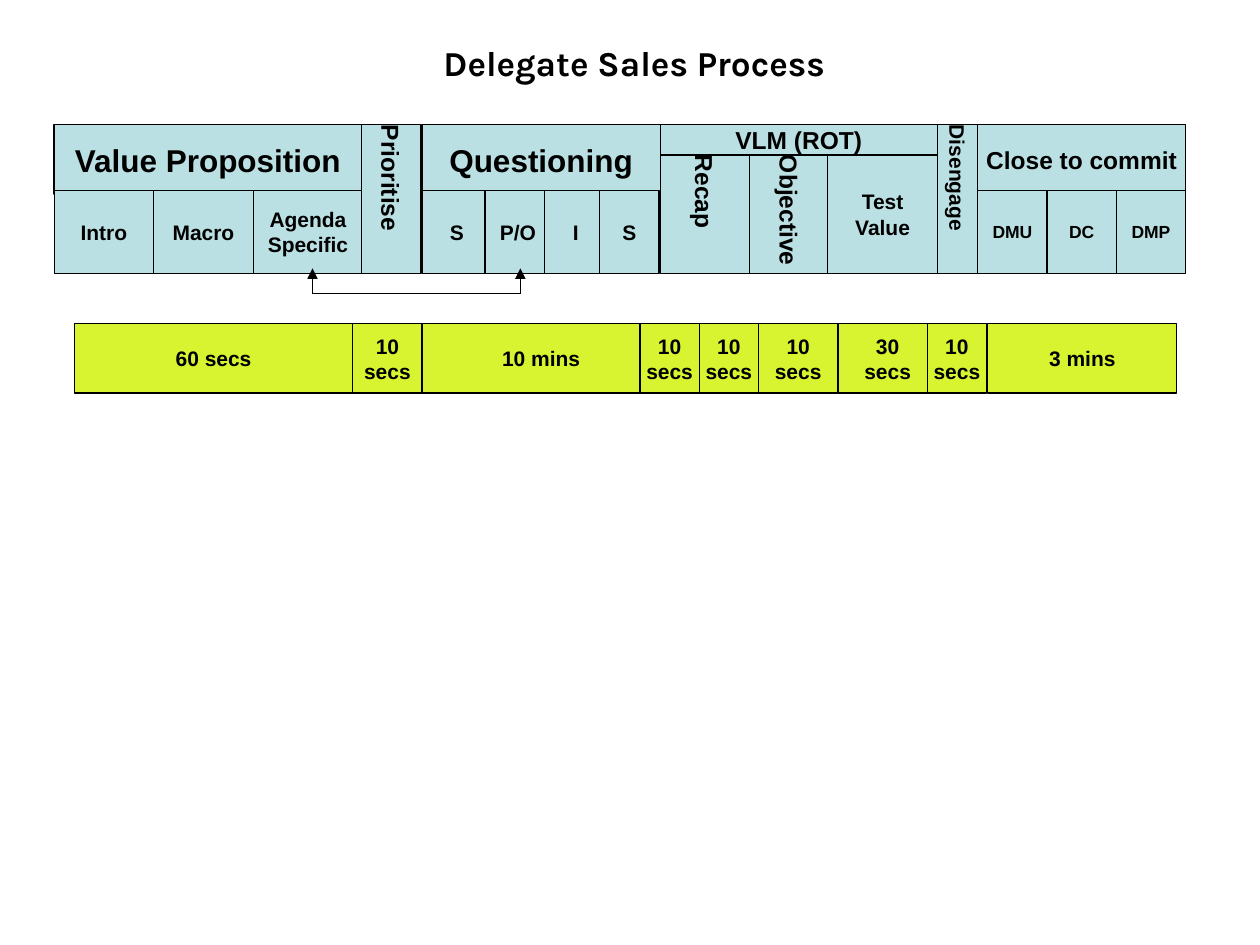
import pptx
import pptx.util
import pptx.dml.color
import pptx.enum.shapes
import pptx.enum.text
import pptx.oxml
from pptx.util import Inches, Pt

BLACK = pptx.dml.color.RGBColor(0x00, 0x00, 0x00)
BLUE = pptx.dml.color.RGBColor(0xBB, 0xE0, 0xE3)
LIME = pptx.dml.color.RGBColor(0xD8, 0xF4, 0x30)
CENTER = pptx.enum.text.PP_ALIGN.CENTER

# Content: text, left, width, size
TITLE = "Delegate Sales Process"
STAGES = [
    ("Value Proposition", 0.43, 2.44, 18),
    ("Questioning", 3.35, 1.89, 18),
    ("Close to commit", 7.76, 1.65, 14),
]
STEPS = [
    ("Intro", 0.43, 0.79, 12),
    ("Macro", 1.22, 0.79, 12),
    ("Agenda Specific", 2.01, 0.87, 12),
    ("S", 3.35, 0.55, 12),
    ("P/O", 3.85, 0.52, 12),
    ("I", 4.32, 0.5, 12),
    ("S", 4.76, 0.47, 12),
    ("DMU", 7.76, 0.55, 10),
    ("DC", 8.31, 0.55, 10),
    ("DMP", 8.86, 0.55, 10),
]
TALL_STAGES = [("Prioritise", 2.87, 0.47, 14), ("Disengage", 7.44, 0.32, 12)]
VLM_HEAD = [("VLM (ROT)", 5.24, 2.2, 14)]
VLM_TALL = [("Recap", 5.24, 0.71, 14), ("Objective", 5.95, 0.63, 14)]
VLM_TEST = [("Test Value", 6.57, 0.87, 12)]
TIMES = [
    ("60 secs", 0.59, 2.21, 12),
    ("10\nsecs", 2.8, 0.55, 12),
    ("10 mins", 3.35, 1.89, 12),
    ("10\nsecs", 5.08, 0.47, 12),
    ("10\nsecs", 5.55, 0.47, 12),
    ("10\nsecs", 6.02, 0.63, 12),
    ("30\nsecs", 6.65, 0.79, 12),
    ("10\nsecs", 7.36, 0.47, 12),
    ("3 mins", 7.84, 1.5, 12),
]

# Vertical layout
TOP, VLM_TOP, STEP_TOP, BOTTOM = 0.99, 1.23, 1.51, 2.17
HEAD_H = 0.55
TIME_TOP = 2.57
ARROW_TIP, ARROW_BASE = 2.13, 2.33
ARROW_LEFT, ARROW_RIGHT = 2.48, 4.13


def format_text(tf, size, font):
    for p in tf.paragraphs:
        p.alignment = CENTER
        for r in p.runs:
            r.font.name = font
            r.font.size = Pt(size)
            r.font.bold = True
            r.font.color.rgb = BLACK


def add_row(s, cells, top, height, fill=BLUE, wrap=False, vertical=False):
    for text, left, width, size in cells:
        sp = s.shapes.add_shape(
            pptx.enum.shapes.MSO_SHAPE.RECTANGLE,
            Inches(left), Inches(top), Inches(width), Inches(height))
        sp.shadow.inherit = False
        sp.fill.solid()
        sp.fill.fore_color.rgb = fill
        sp.line.color.rgb = BLACK
        sp.line.width = Pt(0.75)
        tf = sp.text_frame
        tf.text = text
        # Turned text is centred along the full height of its box
        tf.word_wrap = wrap or vertical
        tf.vertical_anchor = pptx.enum.text.MSO_ANCHOR.MIDDLE
        across, down = (0.05, 0) if vertical else (0.1, 0.05)
        tf.margin_left = tf.margin_right = Inches(across)
        tf.margin_top = tf.margin_bottom = Inches(down)
        if vertical:
            tf._txBody.bodyPr.set("vert", "eaVert")
        format_text(tf, size, "Arial")


def add_line(shapes, x1, y1, x2, y2, arrow=False):
    line = shapes.add_connector(
        pptx.enum.shapes.MSO_CONNECTOR.STRAIGHT,
        Inches(x1), Inches(y1), Inches(x2), Inches(y2))
    line.line.color.rgb = BLACK
    line.line.width = Pt(0.75)
    if arrow:
        end = pptx.oxml.xmlchemy.OxmlElement("a:tailEnd")
        end.set("type", "triangle")
        line.line._get_or_add_ln().append(end)
    line._element.spPr.append(pptx.oxml.xmlchemy.OxmlElement("a:effectLst"))


def main():
    prs = pptx.Presentation()
    prs.slide_width, prs.slide_height = Inches(10), Inches(7.5)
    s = prs.slides.add_slide(prs.slide_layouts[5])

    # Title
    title = s.shapes.title
    title.left, title.top = Inches(2.73), Inches(0.28)
    title.width, title.height = Inches(4.61), Inches(0.44)
    tf = title.text_frame
    tf.text = TITLE
    tf.word_wrap = True
    tf.auto_size = pptx.enum.text.MSO_AUTO_SIZE.NONE
    tf.vertical_anchor = pptx.enum.text.MSO_ANCHOR.TOP
    format_text(tf, 20, "Karla")

    # Process stages and their steps
    add_row(s, STAGES, TOP, HEAD_H)
    add_row(s, STEPS, STEP_TOP, BOTTOM - STEP_TOP, wrap=True)
    add_row(s, TALL_STAGES, TOP, BOTTOM - TOP, vertical=True)
    add_row(s, VLM_TALL, VLM_TOP, BOTTOM - VLM_TOP, vertical=True)
    add_row(s, VLM_HEAD, TOP, VLM_TOP - TOP)
    add_row(s, VLM_TEST, VLM_TOP, BOTTOM - VLM_TOP, wrap=True)

    # Link between the agenda and P/O steps
    link = s.shapes.add_group_shape().shapes
    add_line(link, ARROW_RIGHT, ARROW_BASE, ARROW_LEFT, ARROW_BASE)
    for x in (ARROW_LEFT, ARROW_RIGHT):
        add_line(link, x, ARROW_BASE, x, ARROW_TIP, arrow=True)

    # Time for each stage
    add_row(s, TIMES, TIME_TOP, HEAD_H, fill=LIME)

    prs.save("out.pptx")


if __name__ == "__main__":
    main()
